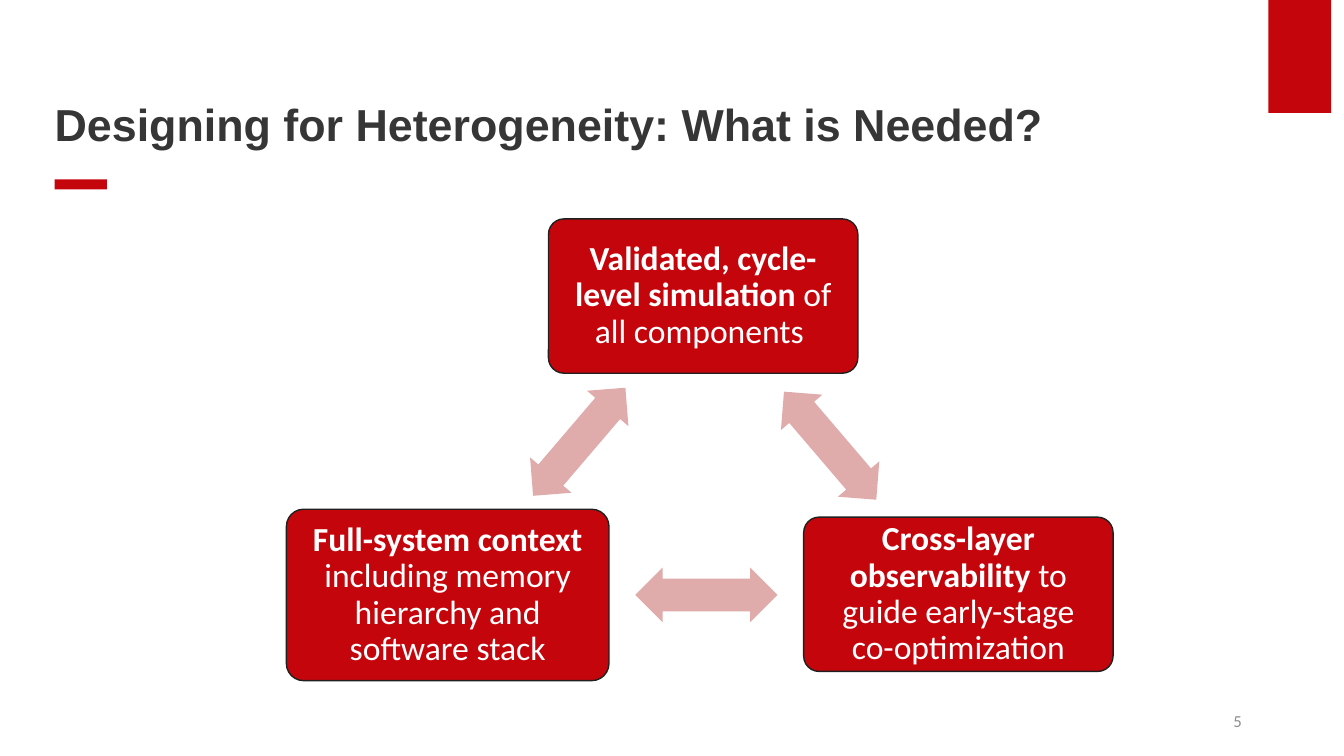
from pptx import Presentation
from pptx.dml.color import RGBColor
from pptx.enum.shapes import MSO_SHAPE
from pptx.enum.text import MSO_ANCHOR, PP_ALIGN
from pptx.util import Pt

RECTANGLE = MSO_SHAPE.RECTANGLE
ROUNDED = MSO_SHAPE.ROUNDED_RECTANGLE
DOUBLE_ARROW = MSO_SHAPE.LEFT_RIGHT_ARROW
MIDDLE, BOTTOM = MSO_ANCHOR.MIDDLE, MSO_ANCHOR.BOTTOM
LEFT, CENTER, RIGHT = PP_ALIGN.LEFT, PP_ALIGN.CENTER, PP_ALIGN.RIGHT

RED = RGBColor(0xC5, 0x05, 0x0C)
PINK = RGBColor(0xDF, 0xAB, 0xAB)
WHITE = RGBColor(0xFF, 0xFF, 0xFF)
OUTLINE = RGBColor(0x20, 0x20, 0x20)
TITLE_COLOR = RGBColor(0x36, 0x36, 0x36)
GRAY = RGBColor(0x8D, 0x8D, 0x8D)

# Left, top, width, height within the diagram; bold text, regular text
CARDS = [
    (187.2, 0, 221, 110.2, "Validated, cycle-level simulation ", "of all components "),
    (369.5, 213, 221, 110.2, "Cross-layer observability ",
     "to guide early-stage co-optimization"),
    (0, 207.4, 230.4, 122.4, "Full-system context",
     " including memory hierarchy and software stack"),
]

# Left, top within the diagram, rotation
ARROWS = [(337.6, 142.5, 49.5), (249.2, 249.1, 180), (158.4, 139.7, 310.5)]
ARROW_WIDTH, ARROW_HEIGHT = 101.5, 38.9


def add_filled(page, kind, box, color):
    shape = page.shapes.add_shape(kind, *(Pt(value) for value in box))
    shape.shadow.inherit = False
    shape.fill.solid()
    shape.fill.fore_color.rgb = color
    shape.line.fill.background()
    return shape


def style_text(frame, align, anchor, margins):
    frame.word_wrap = True
    frame.vertical_anchor = anchor
    (frame.margin_left, frame.margin_top,
     frame.margin_right, frame.margin_bottom) = (Pt(value) for value in margins)
    frame.paragraphs[0].alignment = align


def style_span(span, font_name, size, color, bold=False):
    span.font.name = font_name
    span.font.size = Pt(size)
    span.font.color.rgb = color
    span.font.bold = bold


def add_label(page, box, text, font_name, size, color, align, anchor, margins, bold=False):
    frame = page.shapes.add_textbox(*(Pt(value) for value in box)).text_frame
    frame.text = text
    style_text(frame, align, anchor, margins)
    style_span(frame.paragraphs[0].runs[0], font_name, size, color, bold)
    return frame


def add_header(page, left, top, width):
    # Corner tag, title and accent bar
    add_filled(page, RECTANGLE, (left + 867, top, 44.8, 80.6), RED)
    frame = add_label(page, (left, top + 23.8, width, 84.2),
                      "Designing for Heterogeneity: What is Needed?",
                      "Arial", 32, TITLE_COLOR, LEFT, BOTTOM, (0, 3.6, 7.2, 0), True)
    frame.paragraphs[0].line_spacing = 0.9
    add_filled(page, RECTANGLE, (left, top + 128.2, 37.4, 7.2), RED)


def add_card(page, box, bold_text, regular_text):
    card = add_filled(page, ROUNDED, box, RED)
    card.adjustments[0] = 0.1
    card.line.color.rgb = OUTLINE
    card.line.width = Pt(1)
    frame = card.text_frame
    style_text(frame, CENTER, MIDDLE, (7.2, 7.2, 7.2, 7.2))
    para = frame.paragraphs[0]
    para.line_spacing = 0.9
    for text, bold in ((bold_text, True), (regular_text, False)):
        span = para.add_run()
        span.text = text
        style_span(span, "Calibri", 24, WHITE, bold)


def add_diagram(page, left, top):
    # Three cards
    for x, y, width, height, bold_text, regular_text in CARDS:
        add_card(page, (left + x, top + y, width, height), bold_text, regular_text)

    # Double arrows between the cards
    for x, y, rotation in ARROWS:
        arrow = add_filled(page, DOUBLE_ARROW,
                           (left + x, top + y, ARROW_WIDTH, ARROW_HEIGHT), PINK)
        arrow.adjustments[0] = 0.6
        arrow.adjustments[1] = 0.5
        arrow.rotation = rotation


def main():
    deck = Presentation()
    deck.slide_width, deck.slide_height = Pt(960), Pt(540)
    page = deck.slides.add_slide(deck.slide_layouts[6])
    add_header(page, 39, 0, 840)
    add_diagram(page, 204.6, 156.4)

    # Page number
    add_label(page, (678.2, 500.4, 216, 28.8), "5", "Calibri", 12, GRAY,
              RIGHT, MIDDLE, (7.2, 3.6, 7.2, 3.6))
    deck.save("out.pptx")


if __name__ == "__main__":
    main()
